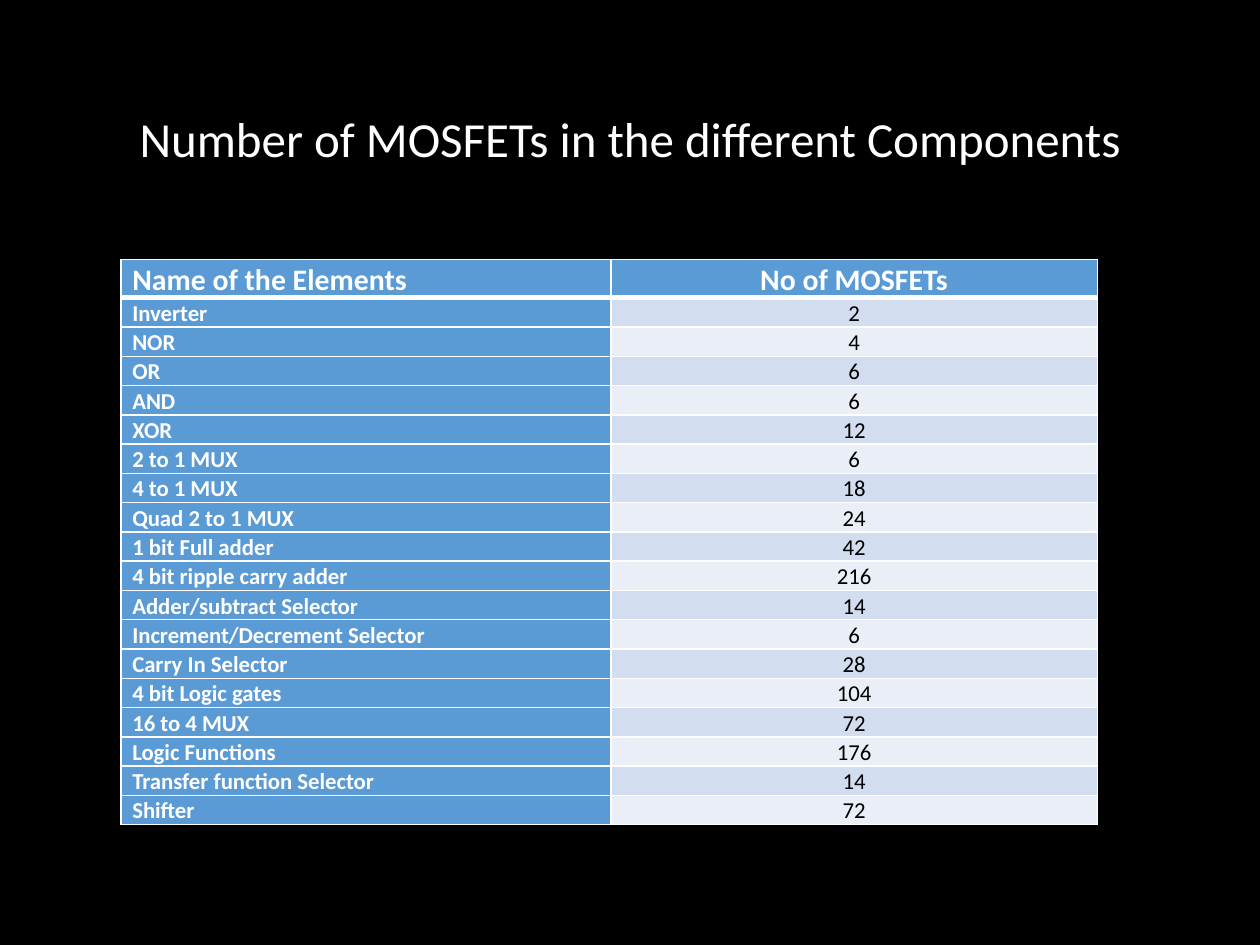
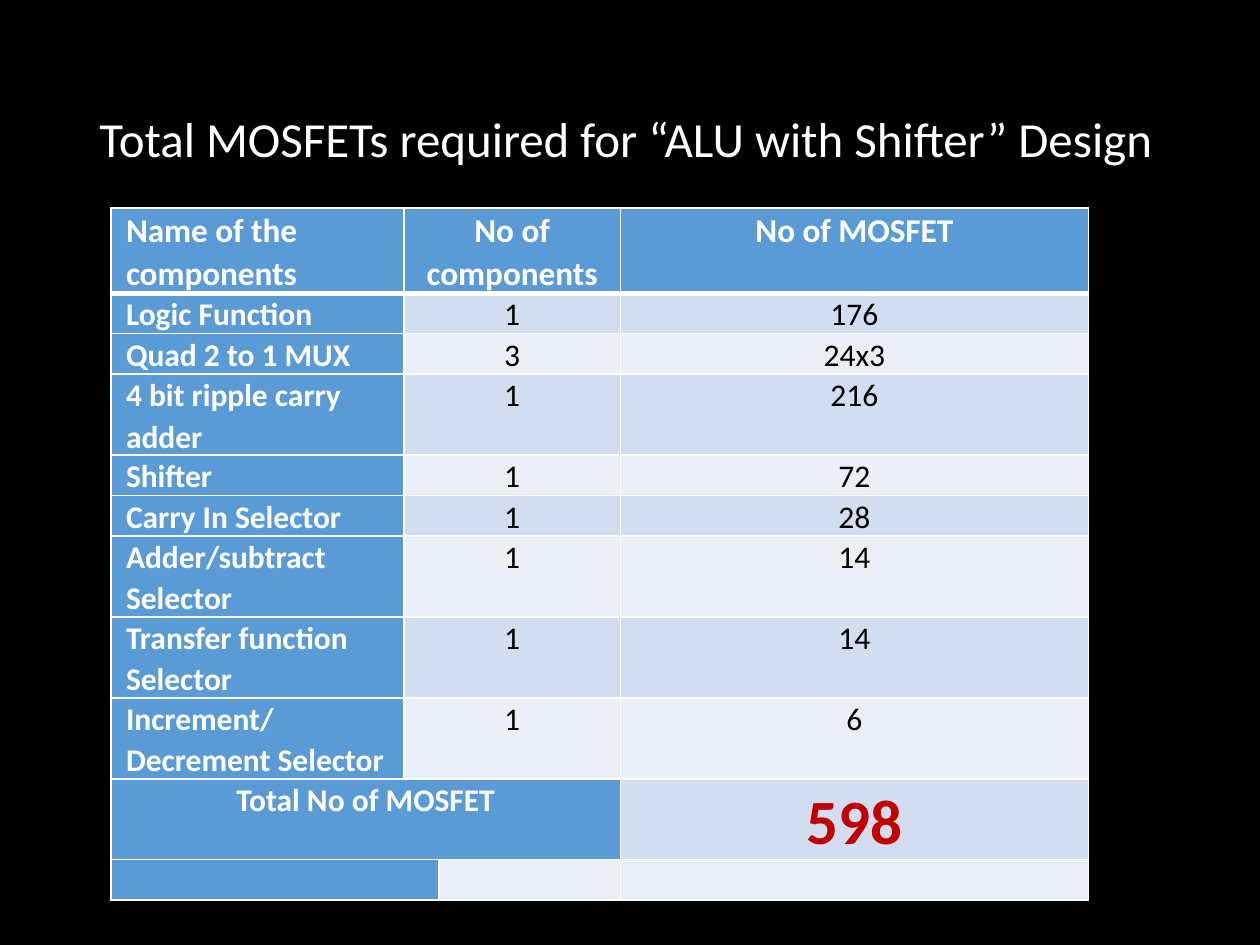
from lxml import etree
from pptx import Presentation
from pptx.dml import color
from pptx.enum import text
from pptx.oxml import ns
from pptx.util import Pt

FONT = "Calibri"
BLACK, WHITE, RED = "000000", "FFFFFF", "C00000"
BLUE, BAND_DARK, BAND_LIGHT = "5B9BD5", "D2DEEF", "EAEFF7"
LEFT, CENTER = text.PP_ALIGN.LEFT, text.PP_ALIGN.CENTER
TITLE_BOX = (49.7, 28.8, 620.6, 104.4)

ELEMENTS = [
    ("Name of the Elements", "No of MOSFETs"),
    ("Inverter", "2"), ("NOR", "4"), ("OR", "6"), ("AND", "6"), ("XOR", "12"),
    ("2 to 1 MUX", "6"), ("4 to 1 MUX", "18"), ("Quad 2 to 1 MUX", "24"),
    ("1 bit Full adder", "42"), ("4 bit ripple carry adder", "216"),
    ("Adder/subtract Selector", "14"), ("Increment/Decrement Selector", "6"),
    ("Carry In Selector", "28"), ("4 bit Logic gates", "104"),
    ("16 to 4 MUX", "72"), ("Logic Functions", "176"),
    ("Transfer function Selector", "14"), ("Shifter", "72"),
]
COMPONENTS = [
    ("Name of the components", "No of components", "No of MOSFET"),
    ("Logic Function", "1", "176"),
    ("Quad 2 to 1 MUX", "3", "24x3"),
    ("4 bit ripple carry adder", "1", "216"),
    ("Shifter", "1", "72"),
    ("Carry In Selector", "1", "28"),
    ("Adder/subtract Selector", "1", "14"),
    ("Transfer function Selector", "1", "14"),
    ("Increment/Decrement Selector", "1", "6"),
]


def rgb(value):
    """Turn a hex string into a colour."""
    return color.RGBColor.from_string(value)


def style_paragraph(paragraph, size, ink, bold=False, align=LEFT, spacing=1.07):
    """Set the font, alignment and line spacing of a paragraph."""
    paragraph.alignment = align
    paragraph.line_spacing = spacing
    font = paragraph.font
    font.name, font.size, font.bold = FONT, Pt(size), bold
    font.color.rgb = rgb(ink)


def add_titled_slide(presentation, title, align):
    """Add a black slide with its title in white."""
    slide = presentation.slides.add_slide(presentation.slide_layouts[6])
    slide.background.fill.solid()
    slide.background.fill.fore_color.rgb = rgb(BLACK)
    frame = slide.shapes.add_textbox(*map(Pt, TITLE_BOX)).text_frame
    frame.word_wrap = True
    frame.vertical_anchor = text.MSO_ANCHOR.MIDDLE
    frame.text = title
    style_paragraph(frame.paragraphs[0], 28, WHITE, align=align, spacing=0.9)
    return slide


def add_borders(cell, widths):
    """Draw white borders; widths maps a side (L, R, T, B) to points."""
    properties = cell._tc.get_or_add_tcPr()
    for side, width in widths.items():
        line = etree.SubElement(properties, ns.qn(f"a:ln{side}"), w=str(Pt(width)))
        fill = etree.SubElement(line, ns.qn("a:solidFill"))
        etree.SubElement(fill, ns.qn("a:srgbClr"), val=WHITE)


def add_grid(slide, box, column_widths, row_heights, inset):
    """Add a banded table with a blue header row and first column."""
    shape = slide.shapes.add_table(len(row_heights), len(column_widths), *map(Pt, box))
    table = shape.table
    table.first_col = True
    for column, width in zip(table.columns, column_widths):
        column.width = Pt(width)
    for index, (row, height) in enumerate(zip(table.rows, row_heights)):
        row.height = Pt(height)
        band = BAND_DARK if index % 2 else BAND_LIGHT
        edges = {"L": 1, "R": 1, "B": 1} if index else {"L": 1, "R": 1, "T": 1, "B": 3}
        for position, cell in enumerate(row.cells):
            cell.margin_left = cell.margin_right = Pt(inset)
            cell.margin_top = cell.margin_bottom = 0
            add_borders(cell, edges)
            cell.fill.solid()
            cell.fill.fore_color.rgb = rgb(band if index and position else BLUE)
    shape.height = Pt(box[3])
    return table


def write_cell(cell, content, size, ink=BLACK, bold=False, align=CENTER):
    """Write one styled line of text into a cell."""
    cell.text = content
    style_paragraph(cell.text_frame.paragraphs[0], size, ink, bold, align)


def write_rows(table, rows, columns, header_size, body_size):
    """Write the rows, with labels at left and the header in bold white."""
    for index, row in enumerate(rows):
        size = body_size if index else header_size
        for position, (column, content) in enumerate(zip(columns, row)):
            strong = index == 0 or position == 0
            write_cell(table.cell(index, column), content, size,
                       WHITE if strong else BLACK, strong,
                       CENTER if position else LEFT)


def add_elements_table(slide, box):
    """Add the table of MOSFETs in each element."""
    heights = [21.6] + [16.56] * (len(ELEMENTS) - 1)
    table = add_grid(slide, box, (280, 278), heights, 6.5)
    write_rows(table, ELEMENTS, (0, 1), 17, 13)


def add_totals_table(slide, box):
    """Add the table of components, closed by the total and an empty row."""
    total, closing = len(COMPONENTS), len(COMPONENTS) + 1
    heights = [24.5] + [23.04] * closing
    table = add_grid(slide, box, (167.4, 18, 103.7, 267.5), heights, 8.6)
    for index in range(total):
        table.cell(index, 1).merge(table.cell(index, 2))
    table.cell(total, 0).merge(table.cell(total, 2))
    table.cell(closing, 0).merge(table.cell(closing, 1))
    write_rows(table, COMPONENTS, (0, 1, 3), 19, 18)
    write_cell(table.cell(total, 0), "Total No of MOSFET", 18, WHITE, True)
    write_cell(table.cell(total, 3), "598", 36, RED, True)


def main():
    """Build and save the two slides."""
    presentation = Presentation()
    presentation.slide_width, presentation.slide_height = Pt(720), Pt(540)
    slide = add_titled_slide(
        presentation, "Number of MOSFETs in the different Components", CENTER)
    add_elements_table(slide, (69.1, 148.3, 558, 322.6))
    slide = add_titled_slide(
        presentation, "Total MOSFETs required for “ALU with Shifter” Design", LEFT)
    add_totals_table(slide, (63.4, 118.8, 556.6, 394.6))
    presentation.save("out.pptx")


main()
